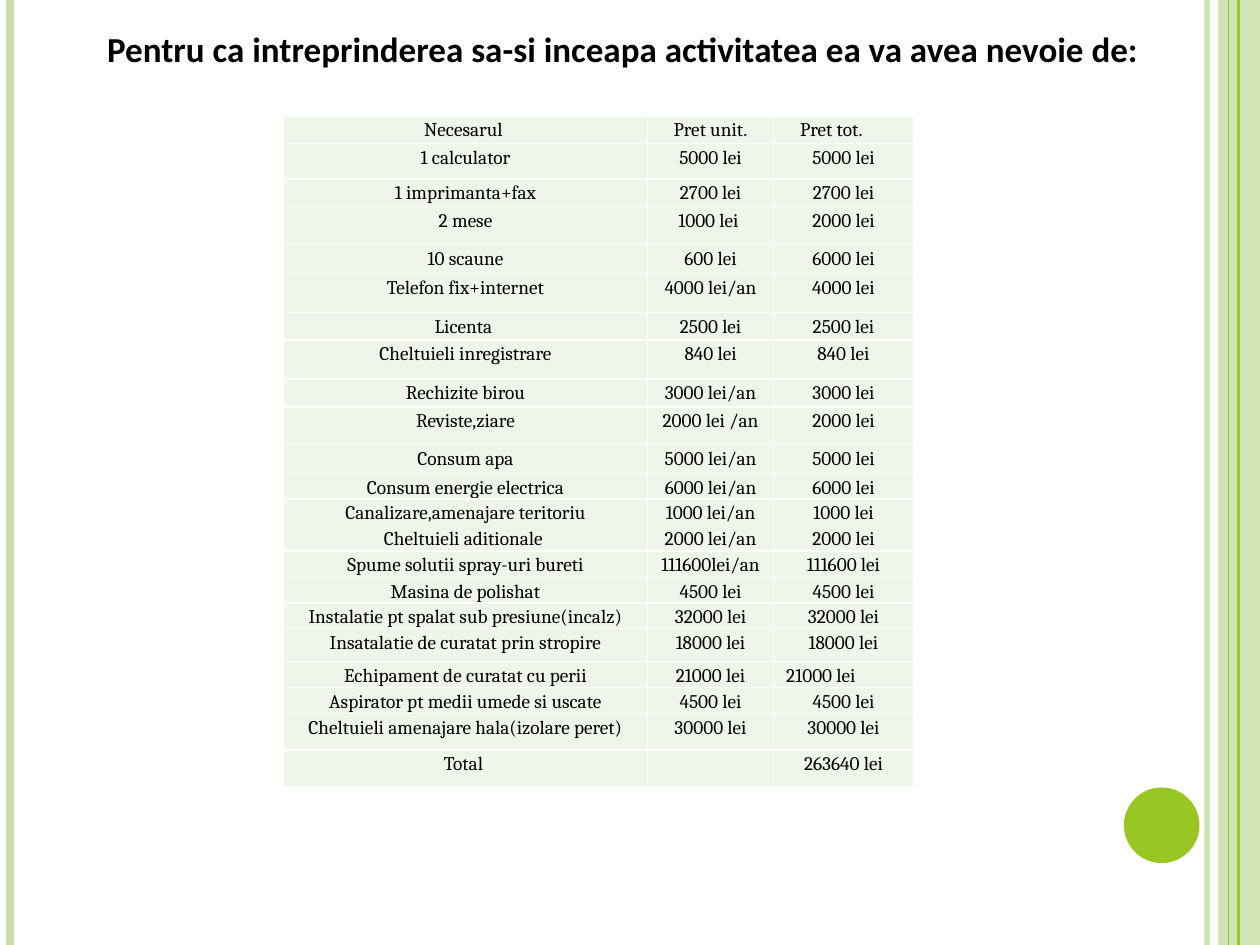
"""Build the slide that lists the start-up needs of a firm and their prices."""
import dataclasses

import lxml.etree
import pptx
import pptx.dml.color
import pptx.enum.shapes
import pptx.enum.text
import pptx.oxml
import pptx.oxml.ns
import pptx.util

Inches, Pt = pptx.util.Inches, pptx.util.Pt
Color = pptx.dml.color.RGBColor.from_string
Align = pptx.enum.text.PP_ALIGN
Shape = pptx.enum.shapes.MSO_SHAPE
qn = pptx.oxml.ns.qn


@dataclasses.dataclass
class Theme:
    ink: str = "000000"
    white: str = "FFFFFF"
    pale: str = "CAE0AC"
    green: str = "98C723"
    cell: str = "EFF5E8"
    head: str = "Calibri"
    body: str = "Cambria"
    big: int = 20
    small: int = 11


theme = Theme()


def fade(part, share):
    for tint in part.iter(qn("a:srgbClr")):
        lxml.etree.SubElement(tint, qn("a:alpha"), val=str(share * 1000))


def style(para, face, size, bold=False):
    para.font.name = face
    para.font.size = Pt(size)
    para.font.bold = bold
    para.font.color.rgb = Color(theme.ink)


deck = pptx.Presentation()
deck.slide_width, deck.slide_height = Inches(10), Inches(7.5)
slide = deck.slides.add_slide(deck.slide_layouts[5])
slide.background.fill.solid()
slide.background.fill.fore_color.rgb = Color(theme.white)

band = slide.shapes.add_shape(Shape.RECTANGLE, Inches(9.67), 0, Inches(0.33), Inches(7.5))
disc = slide.shapes.add_shape(Shape.OVAL, Inches(8.92), Inches(6.25), Inches(0.6), Inches(0.6))
for shape, color in ((band, theme.pale), (disc, theme.green)):
    shape.shadow.inherit = False
    shape.fill.solid()
    shape.fill.fore_color.rgb = Color(color)
    shape.line.fill.background()
fade(band.fill.fore_color and band.element.spPr, 87)

rules = [
    (9.58, theme.pale, 3, 93),
    (0.08, theme.pale, 4.5, 100),
    (9.83, theme.green, 1.5, 100),
    (9.75, theme.green, 0.75, 100),
]
for x, color, width, share in rules:
    rule = slide.shapes.add_connector(
        pptx.enum.shapes.MSO_CONNECTOR.STRAIGHT, Inches(x), 0, Inches(x), Inches(7.5))
    rule.line.color.rgb = Color(color)
    rule.line.width = Pt(width)
    lxml.etree.SubElement(rule.element.spPr, qn("a:effectLst"))
    if share < 100:
        fade(rule.element.spPr, share)

needs = [
    (0.22, "Necesarul ", "Pret unit.", "Pret tot."),
    (0.28, "1 calculator", "5000 lei", "5000 lei"),
    (0.22, "1 imprimanta+fax", "2700 lei", "2700 lei"),
    (0.3, "2 mese", "1000 lei ", "2000 lei"),
    (0.23, "10 scaune", "600 lei", "6000 lei"),
    (0.31, "Telefon fix+internet", "4000 lei/an", "4000 lei"),
    (0.22, "Licenta ", "2500 lei", "2500 lei"),
    (0.31, "Cheltuieli inregistrare", "840 lei", "840 lei"),
    (0.22, "Rechizite birou", "3000 lei/an", "3000 lei"),
    (0.3, "Reviste,ziare", "2000 lei /an", "2000 lei"),
    (0.23, "Consum apa", "5000 lei/an", "5000 lei"),
    (0.2, "Consum energie electrica", "6000 lei/an", "6000 lei"),
    (0.41, "Canalizare,amenajare teritoriu\nCheltuieli aditionale ",
     "1000 lei/an\n2000 lei/an", "1000 lei\n2000 lei"),
    (0.21, "Spume solutii spray-uri bureti", "111600lei/an", "111600 lei"),
    (0.2, "Masina de polishat", "4500 lei", "4500 lei"),
    (0.2, "Instalatie pt spalat sub presiune(incalz)", "32000 lei", "32000 lei"),
    (0.26, "Insatalatie de curatat prin stropire", "18000 lei", "18000 lei"),
    (0.21, "Echipament de curatat cu perii", "21000 lei", "21000 lei"),
    (0.2, "Aspirator pt medii umede si uscate", "4500 lei", "4500 lei"),
    (0.29, "Cheltuieli amenajare hala(izolare peret)", "30000 lei", "30000 lei"),
    (0.29, "Total ", "", "263640 lei"),
]
widths = [2.89, 1, 1.11]
left = {(0, 2): 0.21, (17, 2): 0.1}
table = slide.shapes.add_table(
    len(needs), len(widths), Inches(2.25), Inches(0.92), Inches(5), Inches(5.33)).table
table.first_row = table.horz_banding = False
for column, width in zip(table.columns, widths):
    column.width = Inches(width)

for r, (height, *texts) in enumerate(needs):
    table.rows[r].height = Inches(height)
    for c, text in enumerate(texts):
        cell = table.cell(r, c)
        cell.text = text
        cell.margin_left = Inches(left.get((r, c), 0.07))
        cell.margin_right = Inches(0.07)
        cell.margin_top = cell.margin_bottom = 0
        for para in cell.text_frame.paragraphs:
            para.alignment = Align.LEFT if (r, c) in left else Align.CENTER
            para.line_spacing = 1.15
            style(para, theme.body, theme.small)
        props = cell._tc.get_or_add_tcPr()
        for side in ("lnL", "lnR", "lnT", "lnB"):
            edge = lxml.etree.SubElement(props, qn("a:" + side), w=str(Pt(1)))
            paint = lxml.etree.SubElement(edge, qn("a:solidFill"))
            lxml.etree.SubElement(paint, qn("a:srgbClr"), val=theme.white)
        cell.fill.solid()
        cell.fill.fore_color.rgb = Color(theme.cell)

title = slide.shapes.title
title.left, title.top = Inches(0.5), Inches(0.17)
title.width, title.height = Inches(8.83), Inches(0.91)
frame = title.text_frame
frame.text = "Pentru ca intreprinderea sa-si inceapa activitatea ea va avea nevoie de:"
frame.word_wrap = True
frame.auto_size = pptx.enum.text.MSO_AUTO_SIZE.NONE
frame.vertical_anchor = pptx.enum.text.MSO_ANCHOR.TOP
frame.margin_left = Inches(0.35)
frame.paragraphs[0].alignment = Align.LEFT
style(frame.paragraphs[0], theme.head, theme.big, True)

deck.save("out.pptx")
